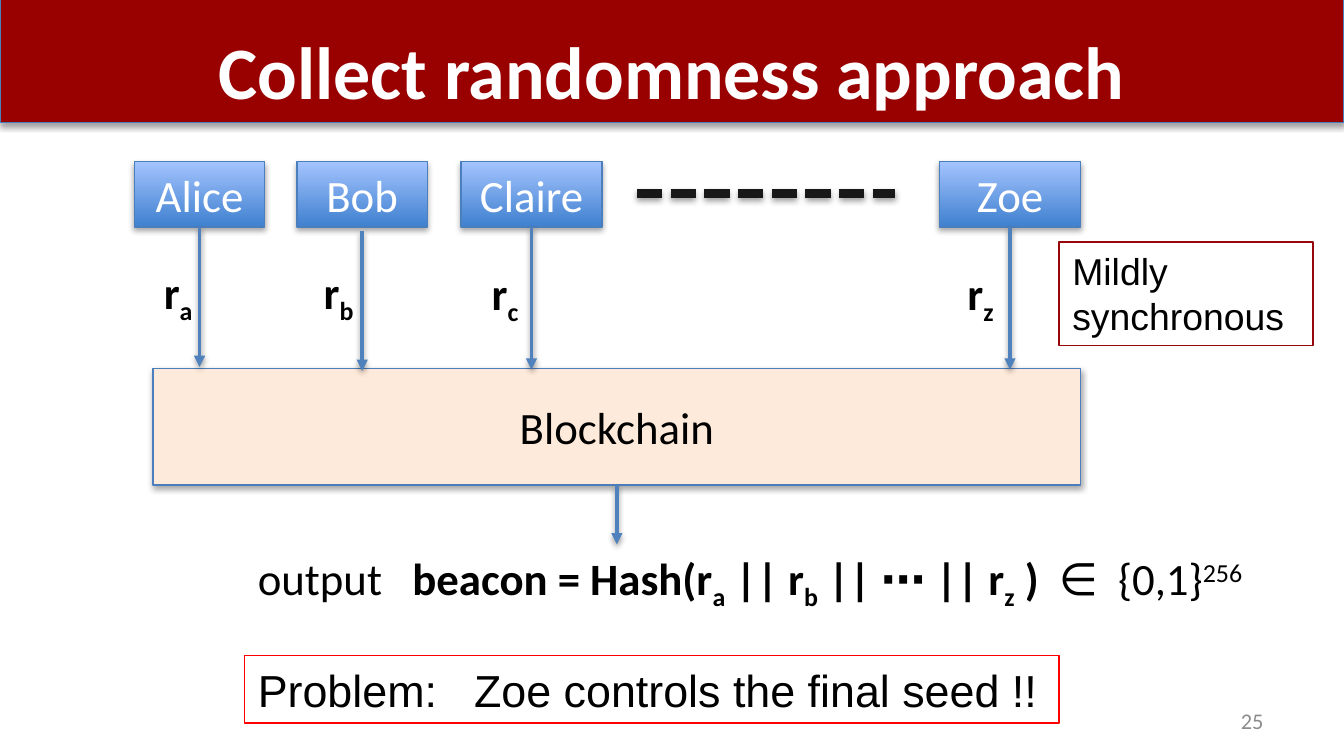
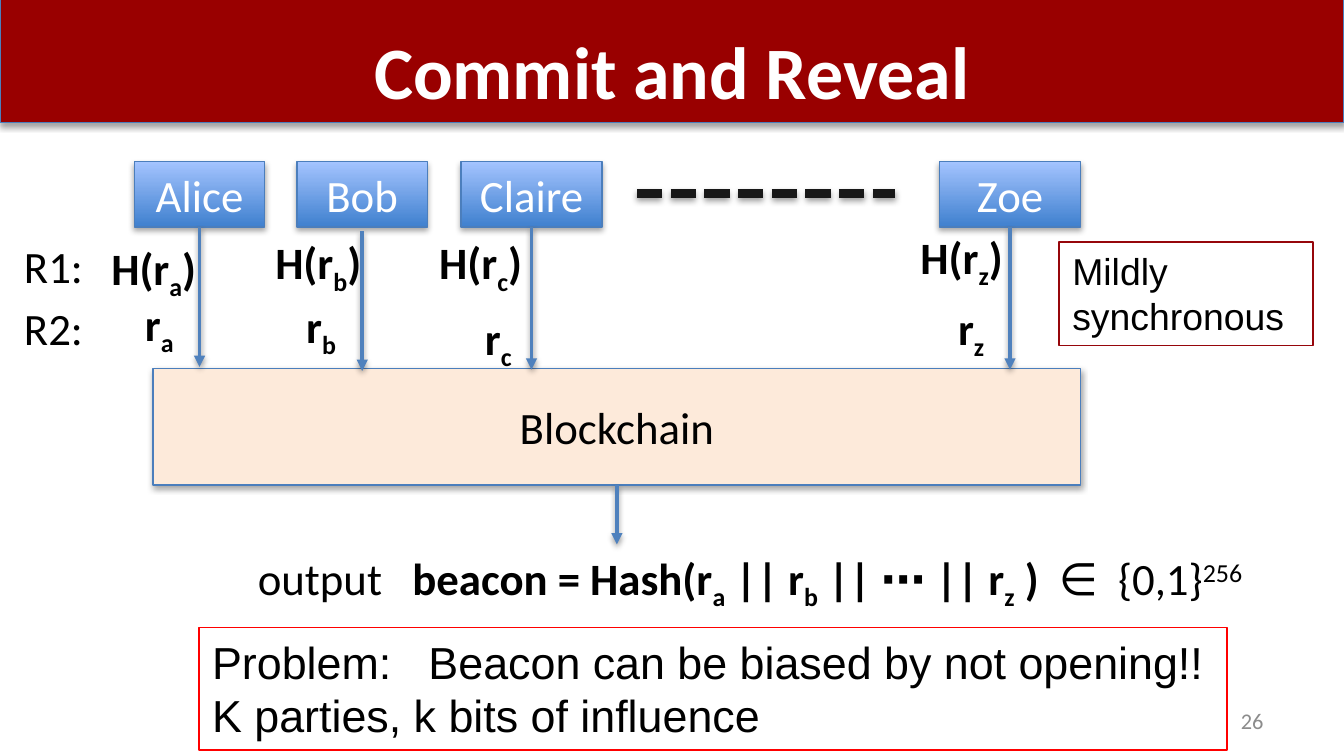
from lxml import etree
from pptx import Presentation
from pptx import util as u
from pptx.dml.color import RGBColor
from pptx.enum import dml, shapes, text
from pptx.oxml import ns

PX = 9144  # 100 px to the inch
WHITE, BLACK, GREY = "FFFFFF", "000000", "8C8C8C"
BANNER_RED, ALERT_RED, NOTE_RED = "990000", "FF0000", "96060B"
EDGE_BLUE, ARROW_BLUE, DASH_BLACK = "4B7EBC", "4F81BD", "181818"
GRADIENT = ("3F80CE", "A4C4FF")
PEACH = "FDEADA"
SUB, SUPER = -25000, 30000
LEFT, CENTER, RIGHT = (text.PP_ALIGN.LEFT, text.PP_ALIGN.CENTER, text.PP_ALIGN.RIGHT)
TOP, MIDDLE = text.MSO_ANCHOR.TOP, text.MSO_ANCHOR.MIDDLE

# name, box left, box width, arrow top, arrow end, subscript
PARTIES = [
    ("Alice", 100, 97, 169, 273, "a"),
    ("Bob", 221, 97, 172, 276, "b"),
    ("Claire", 343, 105, 169, 275, "c"),
    ("Zoe", 699, 105, 169, 275, "z"),
]
BOX_TOP, BOX_HEIGHT = 120, 49

# Runs are (text, baseline shift, bold)
BEACON = [
    ("output\t", 0, False), ("beacon = Hash(r", 0, True), ("a", SUB, True),
    (" || r", 0, True), ("b", SUB, True), (" || ⋯ || r", 0, True),
    ("z", SUB, True), (" )\t", 0, True), ("∈\t{0,1}", 0, False),
    ("256", SUPER, False),
]


def px(length):
    return u.Emu(int(length * PX))


def rgb(color):
    return RGBColor.from_string(color)


def add_xml(parent, tag, **attributes):
    child = etree.SubElement(parent, ns.qn(tag))
    for key, value in attributes.items():
        child.set(key, str(value))
    return child


def add_shadow(effects, alpha, distance):
    outer = add_xml(effects, "a:outerShdw", blurRad=40000, dist=distance,
                    dir=5400000, rotWithShape=0)
    add_xml(add_xml(outer, "a:srgbClr", val=BLACK), "a:alpha", val=alpha)


def write(frame, paragraphs, size=24, font="Calibri", color=BLACK, bold=False,
          align=LEFT, anchor=TOP, wrap=True, tabs=()):
    """Each paragraph is a string or a list of (text, baseline, bold) runs."""
    frame.word_wrap = wrap
    frame.vertical_anchor = anchor
    for i, content in enumerate(paragraphs):
        paragraph = frame.add_paragraph() if i else frame.paragraphs[0]
        paragraph.alignment = align
        if tabs:
            stops = add_xml(paragraph._p.get_or_add_pPr(), "a:tabLst")
            for stop in tabs:
                add_xml(stops, "a:tab", pos=px(stop), algn="l")
        runs = [(content, 0, bold)] if isinstance(content, str) else content
        for words, baseline, heavy in runs:
            run = paragraph.add_run()
            run.text = words
            run.font.name = font
            run.font.size = u.Pt(size)
            run.font.bold = heavy
            run.font.color.rgb = rgb(color)
            if baseline:
                run._r.get_or_add_rPr().set("baseline", str(baseline))


def add_text(slide, left, top, width, height, paragraphs, border=None, **style):
    box = slide.shapes.add_textbox(px(left), px(top), px(width), px(height))
    if border:
        box.line.color.rgb = rgb(border)
        box.line.width = u.Pt(0.75)
    write(box.text_frame, paragraphs, **style)


def add_block(slide, left, top, width, height, fill):
    """Shadowed rectangle; fill is one colour, or a bottom and a top colour."""
    block = slide.shapes.add_shape(shapes.MSO_SHAPE.RECTANGLE,
                                   px(left), px(top), px(width), px(height))
    if isinstance(fill, str):
        block.fill.solid()
        block.fill.fore_color.rgb = rgb(fill)
    else:
        block.fill.gradient()
        block.fill.gradient_angle = 90
        for stop, color in zip(block.fill.gradient_stops, fill):
            stop.color.rgb = rgb(color)
    block.line.color.rgb = rgb(EDGE_BLUE)
    block.line.width = u.Pt(0.75)
    block.shadow.inherit = False
    add_shadow(block._element.spPr.find(ns.qn("a:effectLst")), 35000, 23000)
    return block


def add_line(slide, x1, y1, x2, y2, color=ARROW_BLUE, width=2, dash=None, arrow=True):
    line = slide.shapes.add_connector(shapes.MSO_CONNECTOR.STRAIGHT,
                                      px(x1), px(y1), px(x2), px(y2))
    line.line.color.rgb = rgb(color)
    line.line.width = u.Pt(width)
    if dash:
        line.line.dash_style = dash
    if arrow:
        add_xml(line.line._get_or_add_ln(), "a:tailEnd", type="triangle")
    add_shadow(add_xml(line._element.spPr, "a:effectLst"), 38000, 20000)
    return line


def add_label(slide, left, top, before, subscript, after=""):
    runs = [(before, 0, True), (subscript, SUB, True)]
    if after:
        runs.append((after, 0, True))
    add_text(slide, left, top, 84 if after else 42, 50, [runs], wrap=False)


def add_frame(deck, title, number):
    """Banner, title and page number."""
    slide = deck.slides.add_slide(deck.slide_layouts[6])
    add_block(slide, 0, -1, 1000, 92, BANNER_RED)
    add_text(slide, 50, 14, 900, 68, [title], size=39.6, color=WHITE,
             bold=True, align=CENTER)
    add_text(slide, 717, 521, 233, 30, [str(number)], size=12, color=GREY,
             align=RIGHT, anchor=MIDDLE)
    return slide


def add_protocol(slide):
    """Parties sending to the blockchain, and the beacon it outputs."""
    blockchain = add_block(slide, 114, 274, 690, 87, PEACH)
    write(blockchain.text_frame, ["Blockchain"], align=CENTER, anchor=MIDDLE)

    for name, left, width, start, end, _ in PARTIES:
        party = add_block(slide, left, BOX_TOP, width, BOX_HEIGHT, GRADIENT)
        write(party.text_frame, [name], color=WHITE, align=CENTER, anchor=MIDDLE)
        center = left + width / 2
        message = add_line(slide, center, start, center, end)
        if start == BOX_TOP + BOX_HEIGHT:
            message.begin_connect(party, 2)
    add_line(slide, 474, 144, 666, 144, color=DASH_BLACK, width=4.5,
             dash=dml.MSO_LINE.SQUARE_DOT, arrow=False)

    output = add_line(slide, 459, 361, 459, 405)
    output.begin_connect(blockchain, 2)
    add_text(slide, 182, 405, 769, 50, [BEACON], tabs=(115, 596, 640))
    add_text(slide, 788, 180, 189, 77, ["Mildly synchronous"], size=20,
             font="Arial", border=NOTE_RED)


def add_problem(slide, left, top, width, height, paragraphs):
    add_text(slide, left, top, width, height, paragraphs, font="Arial",
             border=ALERT_RED, tabs=(161,))


def add_labels(slide, places, before, after=""):
    for party, (left, top) in zip(PARTIES, places):
        add_label(slide, left, top, before, party[-1], after)


def main():
    deck = Presentation()
    deck.slide_width = px(1000)
    deck.slide_height = px(1000 * 9 / 16)

    # Collect randomness
    collect = add_frame(deck, "Collect randomness approach", 25)
    add_protocol(collect)
    add_labels(collect, [(112, 192), (231, 192), (356, 193), (710, 193)], "r")
    add_problem(collect, 182, 488, 606, 50,
                ["Problem:\tZoe controls the final seed !!"])

    # Commit and reveal
    reveal = add_frame(deck, "Commit and Reveal", 26)
    add_protocol(reveal)
    for round_name, top in (("R1:", 173), ("R2:", 219)):
        add_text(reveal, 8, top, 85, 50, [round_name])
    add_labels(reveal, [(73, 174), (195, 170), (317, 170), (675, 166)], "H(r", ")")
    add_labels(reveal, [(98, 216), (218, 217), (351, 226), (703, 219)], "r")
    add_problem(reveal, 148, 467, 765, 91,
                ["Problem:\tBeacon can be biased by not opening!!",
                 "K parties, k bits of influence"])

    deck.save("out.pptx")


if __name__ == "__main__":
    main()
